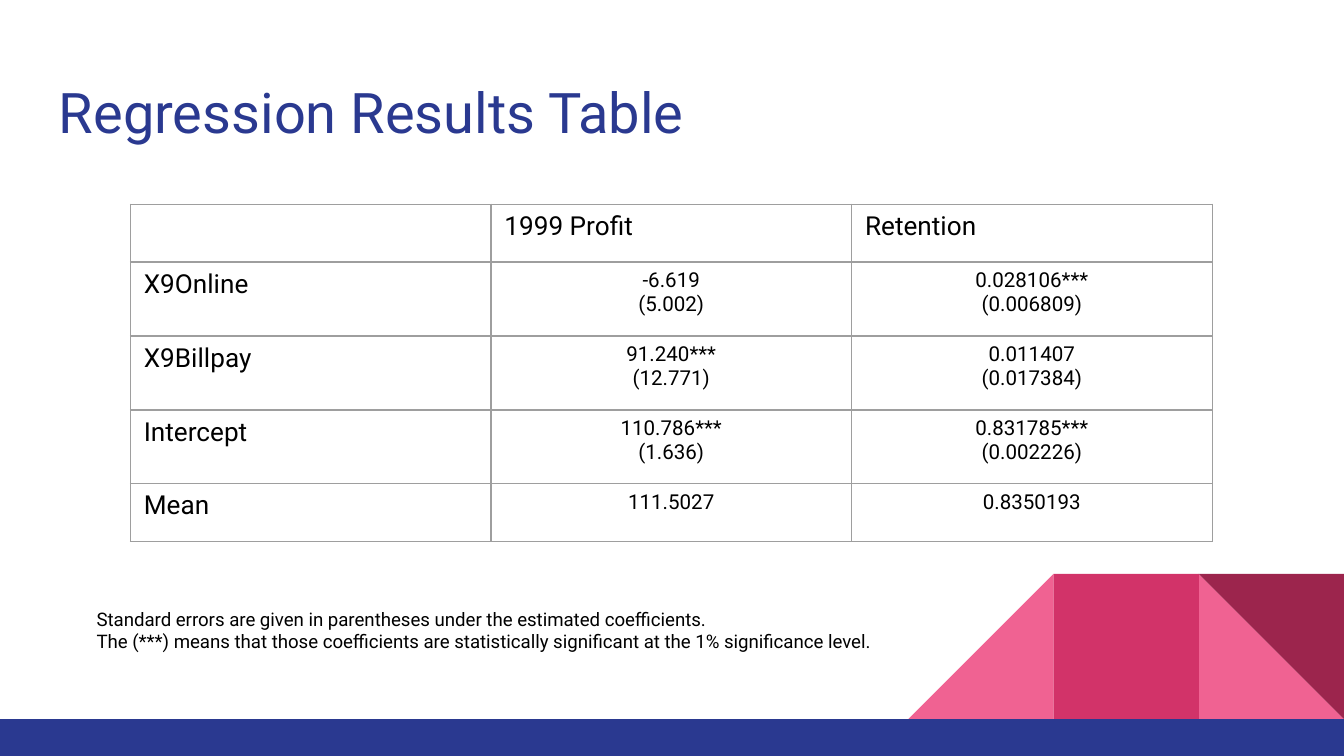
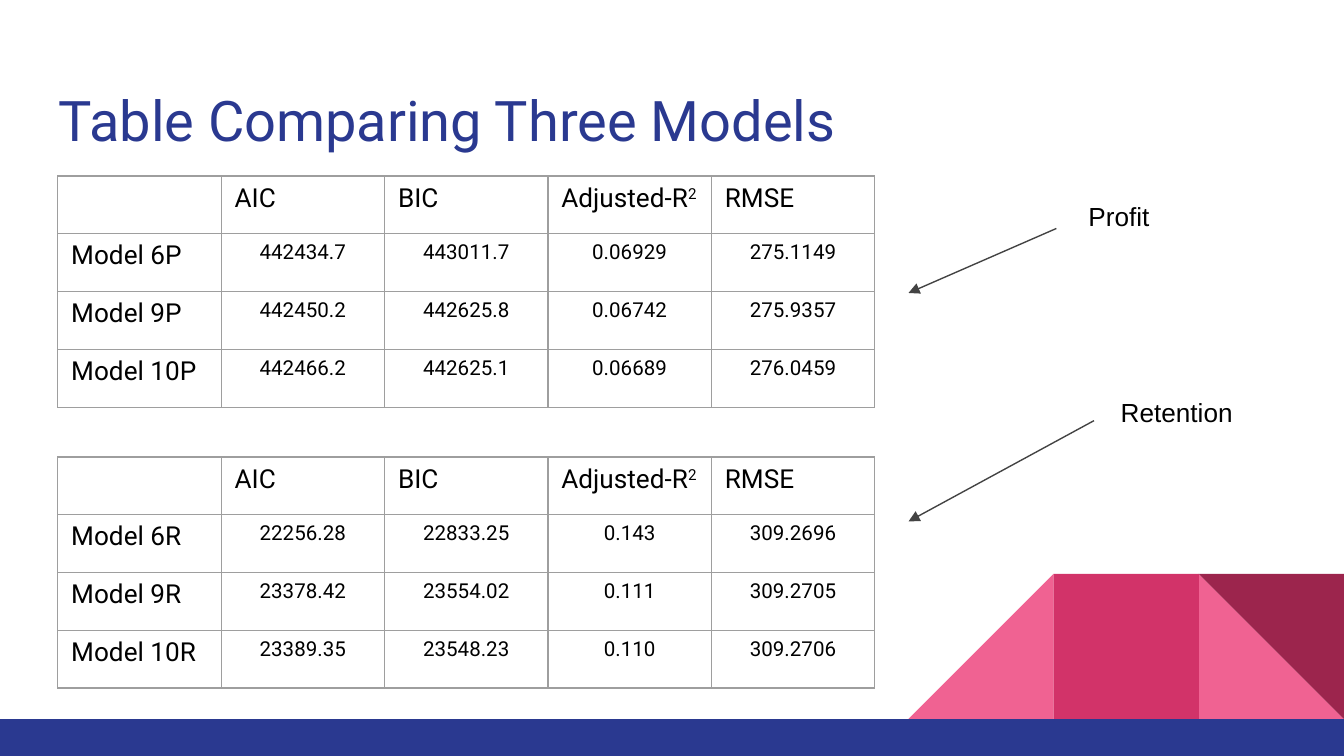
"""Build two slides of regression results and model comparisons."""
from dataclasses import dataclass

from lxml.etree import SubElement
from pptx import Presentation
from pptx.dml.color import RGBColor
from pptx.enum.shapes import MSO_CONNECTOR, MSO_SHAPE
from pptx.enum.text import PP_ALIGN
from pptx.oxml.ns import qn
from pptx.util import Inches, Pt


@dataclass(frozen=True)
class Theme:
    blue: str = "2A3990"
    light_pink: str = "F06292"
    pink: str = "D23369"
    wine: str = "9C254D"
    black: str = "000000"
    border: str = "9E9E9E"
    arrow: str = "434343"
    font: str = "Roboto"
    label_font: str = "Arial"
    title: int = 30
    heading: int = 14
    value: int = 11
    note: int = 10
    line: float = 0.75


T = Theme()
prs = Presentation()
prs.slide_width, prs.slide_height = Inches(10), Inches(5.625)
UNIT = prs.slide_width / 100
ROWS = prs.slide_height / UNIT


def grid(*cells):
    """Turn grid columns and rows into lengths."""
    return [round(UNIT * c) for c in cells]


def add_text(tf, text, size, font=T.font, color=T.black, align=None):
    """Write one paragraph per line; a caret starts a superscript."""
    tf.word_wrap = True
    tf.margin_left = tf.margin_right = tf.margin_top = tf.margin_bottom = grid(1)[0]
    for i, line in enumerate(text.split("\n")):
        p = tf.paragraphs[0] if i == 0 else tf.add_paragraph()
        p.alignment = align
        if not line:
            SubElement(p._p, qn("a:endParaRPr"), sz=str(size * 100))
            continue
        for j, part in enumerate(line.split("^")):
            r = p.add_run()
            r.text = part
            r.font.size, r.font.name = Pt(size), font
            r.font.color.rgb = RGBColor.from_string(color)
            if j:
                r.font._element.set("baseline", "30000")


BAND = 2.75
SIDE = 10.8
FLOOR = ROWS - BAND
TOP = FLOOR - SIDE
DECOR = [
    (MSO_SHAPE.RIGHT_TRIANGLE, 100 - SIDE, T.light_pink, False, 0),
    (MSO_SHAPE.RIGHT_TRIANGLE, 100 - 3 * SIDE, T.light_pink, True, 0),
    (MSO_SHAPE.RECTANGLE, 100 - 2 * SIDE, T.pink, False, 0),
    (MSO_SHAPE.RIGHT_TRIANGLE, 100 - SIDE, T.wine, False, 180),
]
SHAPES = [(g, (x, TOP, SIDE, SIDE), c, f, a) for g, x, c, f, a in DECOR]
SHAPES.append((MSO_SHAPE.RECTANGLE, (0, FLOOR, 100, BAND), T.blue, False, 0))

REGRESSION = [
    ["", "1999 Profit", "Retention"],
    ["X9Online", "-6.619\n(5.002)", "0.028106***\n(0.006809)"],
    ["X9Billpay", "91.240***\n(12.771)", "0.011407\n(0.017384)"],
    ["Intercept", "110.786***\n(1.636)", "0.831785***\n(0.002226)"],
    ["Mean", "111.5027", "0.8350193"],
]
MEASURES = ["", "AIC", "BIC", "Adjusted-R^2", "RMSE"]
PROFIT = [
    MEASURES,
    ["Model 6P", "442434.7", "443011.7", "0.06929", "275.1149"],
    ["Model 9P", "442450.2", "442625.8", "0.06742", "275.9357"],
    ["Model 10P", "442466.2", "442625.1", "0.06689", "276.0459"],
]
RETENTION = [
    MEASURES,
    ["Model 6R", "22256.28", "22833.25", "0.143", "309.2696"],
    ["Model 9R", "23378.42", "23554.02", "0.111", "309.2705"],
    ["Model 10R", "23389.35", "23548.23", "0.110", "309.2706"],
]
NOTE = (
    "Standard errors are given in parentheses under the estimated coefficients.\n"
    "The (***) means that those coefficients are statistically significant "
    "at the 1% significance level."
)

SLIDES = [
    {
        "title": ("Regression Results Table", 4.5),
        "tables": [(REGRESSION, 9.7, 15.2, 80.5)],
        "texts": [(NOTE, (6.2, 44.2, 60.1, 5.2), T.note, T.font)],
        "arrows": [],
    },
    {
        "title": ("Table Comparing Three Models", 5.1),
        "tables": [(PROFIT, 4.3, 13.1, 60.8), (RETENTION, 4.3, 34, 60.8)],
        "texts": [
            ("Profit", (80, 13.9, 7.7, 4.7), T.heading, T.label_font),
            ("Retention", (82.4, 28.5, 11, 5.5), T.heading, T.label_font),
        ],
        "arrows": [(78.6, 17, 67.6, 21.8), (81.4, 31.3, 67.6, 38.8)],
    },
]

for page in SLIDES:
    s = prs.slides.add_slide(prs.slide_layouts[6])

    for kind, box, color, flipped, angle in SHAPES:
        sp = s.shapes.add_shape(kind, *grid(*box))
        sp.shadow.inherit = False
        sp.fill.solid()
        sp.fill.fore_color.rgb = RGBColor.from_string(color)
        sp.line.fill.background()
        sp.rotation = angle
        if flipped:
            sp._element.spPr.find(qn("a:xfrm")).set("flipH", "1")

    title, top = page["title"]
    tf = s.shapes.add_textbox(*grid(3.4, top, 93.2, 6.6)).text_frame
    add_text(tf, title, T.title, color=T.blue)
    tf.margin_top = grid(1.3)[0]

    for data, left, top, width in page["tables"]:
        heights = [5.5 if "\n" in row[1] else 4.3 for row in data]
        box = grid(left, top, width, sum(heights))
        tbl = s.shapes.add_table(len(data), len(data[0]), *box).table
        tbl.first_row = tbl.horz_banding = False
        for col in tbl.columns:
            col.width = grid(width / len(data[0]))[0]
        for i, row in enumerate(data):
            tbl.rows[i].height = grid(heights[i])[0]
            for j, text in enumerate(row):
                cell = tbl.cell(i, j)
                is_value = i > 0 and j > 0
                add_text(cell.text_frame, text,
                         T.value if is_value else T.heading,
                         align=PP_ALIGN.CENTER if is_value else None)
                tcPr = cell._tc.get_or_add_tcPr()
                for side in ("lnL", "lnR", "lnT", "lnB"):
                    ln = SubElement(tcPr, qn(f"a:{side}"), w=str(Pt(T.line)))
                    fill = SubElement(ln, qn("a:solidFill"))
                    SubElement(fill, qn("a:srgbClr"), val=T.border)
                cell.fill.background()

    for ends in page["arrows"]:
        cx = s.shapes.add_connector(MSO_CONNECTOR.STRAIGHT, *grid(*ends))
        cx.line.color.rgb = RGBColor.from_string(T.arrow)
        cx.line.width = Pt(T.line)
        SubElement(cx.line._get_or_add_ln(), qn("a:tailEnd"),
                   type="triangle", w="med", len="med")
        SubElement(cx._element.spPr, qn("a:effectLst"))

    for text, box, size, font in page["texts"]:
        tf = s.shapes.add_textbox(*grid(*box)).text_frame
        add_text(tf, text, size, font)

prs.save("out.pptx")
